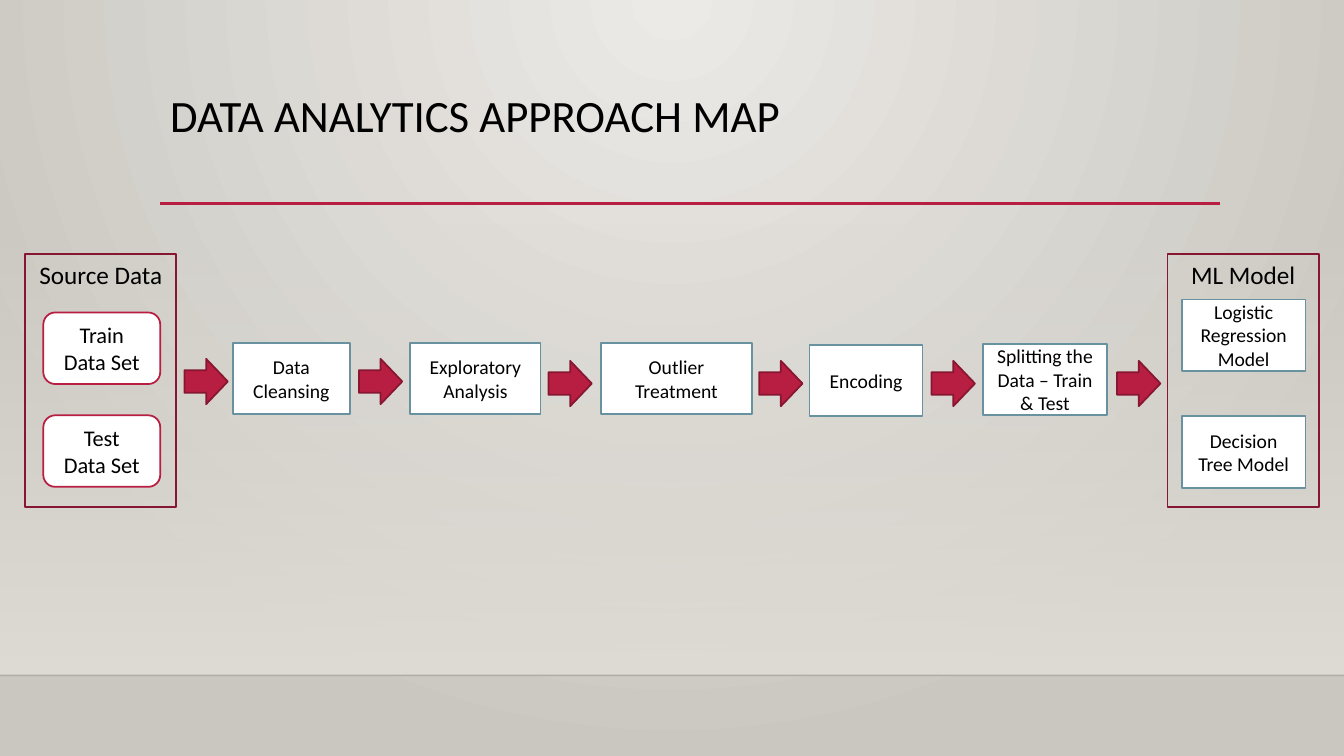
from lxml import etree
from pptx import Presentation
from pptx.dml.color import RGBColor
from pptx.enum.shapes import MSO_CONNECTOR, MSO_SHAPE
from pptx.enum.text import MSO_ANCHOR, PP_ALIGN
from pptx.oxml.ns import qn
from pptx.util import Inches, Pt

RECT = MSO_SHAPE.RECTANGLE
ROUND = MSO_SHAPE.ROUNDED_RECTANGLE
ARROW = MSO_SHAPE.RIGHT_ARROW
STRAIGHT = MSO_CONNECTOR.STRAIGHT
TOP, MIDDLE = MSO_ANCHOR.TOP, MSO_ANCHOR.MIDDLE
LEFT, CENTER = PP_ALIGN.LEFT, PP_ALIGN.CENTER

WIDTH, HEIGHT = 13.33, 7.5
FLOOR = 6.7
BOX_H = 0.71
RED, WINE, TEAL = "B71E42", "871631", "6892A0"
WHITE, BLACK, SAND = "FFFFFF", "000000", "DFDBD5"

STEPS = [
    ("Data Cleansing", 2.31, 3.4, 1.16),
    ("Exploratory Analysis", 4.07, 3.4, 1.29),
    ("Outlier Treatment", 5.96, 3.4, 1.5),
    ("Encoding", 8.03, 3.42, 1.12),
    ("Splitting the Data – Train & Test", 9.75, 3.41, 1.23),
]
MODELS = [("Logistic Regression Model", 2.97), ("Decision Tree Model", 4.13)]
SETS = [("Train\nData Set", 3.1), ("Test\nData Set", 4.12)]
PANELS = [("Source Data", 0.25), ("ML Model", 11.58)]
ARROWS = [(1.83, 3.56), (3.56, 3.56), (5.44, 3.58),
          (7.53, 3.58), (9.24, 3.58), (11.08, 3.58)]


def paint(color, code):
    """Set a color format to a hex code."""
    color.rgb = RGBColor.from_string(code)


def fade(part, share):
    """Give the first color inside an XML part an opacity in percent."""
    tint = next(part.iter(qn("a:srgbClr")))
    etree.SubElement(tint, qn("a:alpha"), val=str(share * 1000))


def blend(fill, codes):
    """Apply a two-stop gradient to a fill."""
    fill.gradient()
    for stop, code in zip(fill.gradient_stops, codes):
        paint(stop.color, code)


def add_glow(slide):
    """Fill the background with a glow from the top center."""
    blend(slide.background.fill, ("ECEAE7", "CAC7C1"))
    grad = next(slide.element.iter(qn("a:gradFill")))
    grad.remove(grad.find(qn("a:lin")))
    path = etree.SubElement(grad, qn("a:path"), path="circle")
    etree.SubElement(path, qn("a:fillToRect"),
                     l="43000", t="0", r="43000", b="100000")


def add_wall(slide):
    """Add the band that fades in toward the floor line."""
    top = 2.21
    wall = slide.shapes.add_shape(
        RECT, 0, Inches(top), Inches(WIDTH), Inches(FLOOR - top))
    wall.shadow.inherit = False
    wall.line.fill.background()
    blend(wall.fill, (SAND, SAND))
    wall.fill.gradient_angle = 270
    fade(wall.element.spPr, 0)


def add_rule(slide, left, right, y, code, weight):
    """Add a horizontal line and return it."""
    rule = slide.shapes.add_connector(
        STRAIGHT, Inches(left), Inches(y), Inches(right), Inches(y))
    paint(rule.line.color, code)
    rule.line.width = Pt(weight)
    etree.SubElement(rule.element.spPr, qn("a:effectLst"))
    return rule


def write(frame, text, size, align=CENTER, anchor=MIDDLE):
    """Put styled text into a frame."""
    frame.text = text
    frame.word_wrap = True
    frame.vertical_anchor = anchor
    for line in frame.paragraphs:
        line.alignment = align
        line.font.name = "Calibri"
        line.font.size = Pt(size)
        paint(line.font.color, BLACK)


def add_box(slide, kind, place, edge, fill=None):
    """Add an outlined shape and return it."""
    box = slide.shapes.add_shape(kind, *map(Inches, place))
    box.shadow.inherit = False
    paint(box.line.color, edge)
    box.line.width = Pt(1.25)
    if fill:
        box.fill.solid()
        paint(box.fill.fore_color, fill)
    else:
        box.fill.background()
    return box


def add_step(slide, text, left, top, width):
    """Add a white process box."""
    box = add_box(slide, RECT, (left, top, width, BOX_H), TEAL, WHITE)
    write(box.text_frame, text, 14)


def add_title(slide, text):
    """Add the slide heading."""
    box = slide.shapes.add_textbox(*map(Inches, (1.59, 0.88, 10.5, 1.15)))
    write(box.text_frame, text, 32, LEFT, TOP)
    box.text_frame.paragraphs[0].line_spacing = 0.9


def main():
    """Build and save the slide."""
    deck = Presentation()
    deck.slide_width, deck.slide_height = Inches(WIDTH), Inches(HEIGHT)
    slide = deck.slides.add_slide(deck.slide_layouts[6])
    add_glow(slide)
    add_wall(slide)
    floor = add_rule(slide, 0, WIDTH, FLOOR, "000001", 1)
    fade(floor.element.spPr, 20)
    add_rule(slide, 1.59, 12.1, 2.02, RED, 2.5)
    add_title(slide, "DATA ANALYTICS APPROACH MAP")
    for text, left in PANELS:
        panel = add_box(slide, RECT, (left, 2.52, 1.5, 2.51), WINE)
        write(panel.text_frame, text, 18, anchor=TOP)
    for text, top in SETS:
        box = add_box(slide, ROUND, (0.43, top, 1.16, BOX_H), RED, WHITE)
        write(box.text_frame, text, 16)
    for step in STEPS:
        add_step(slide, *step)
    for text, top in MODELS:
        add_step(slide, text, 11.72, top, 1.23)
    for left, top in ARROWS:
        add_box(slide, ARROW, (left, top, 0.43, 0.45), WINE, RED)
    deck.save("out.pptx")


main()
